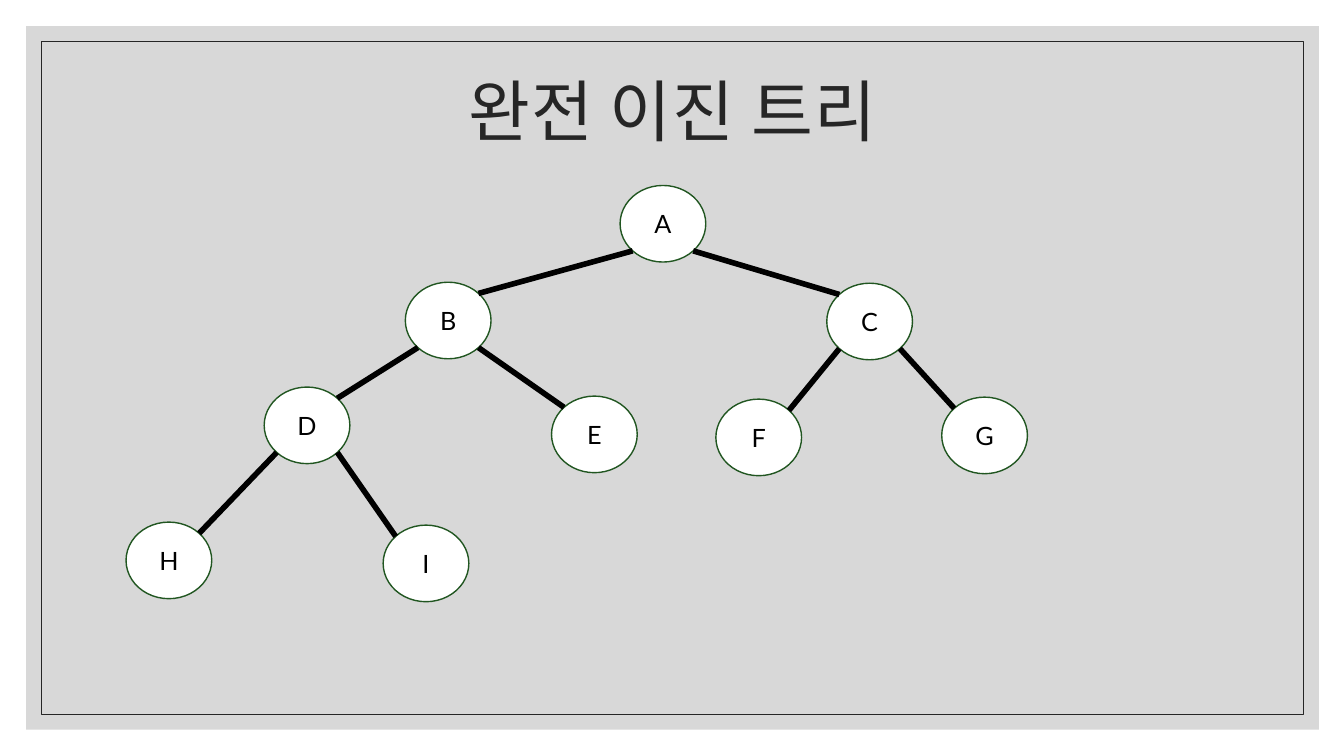
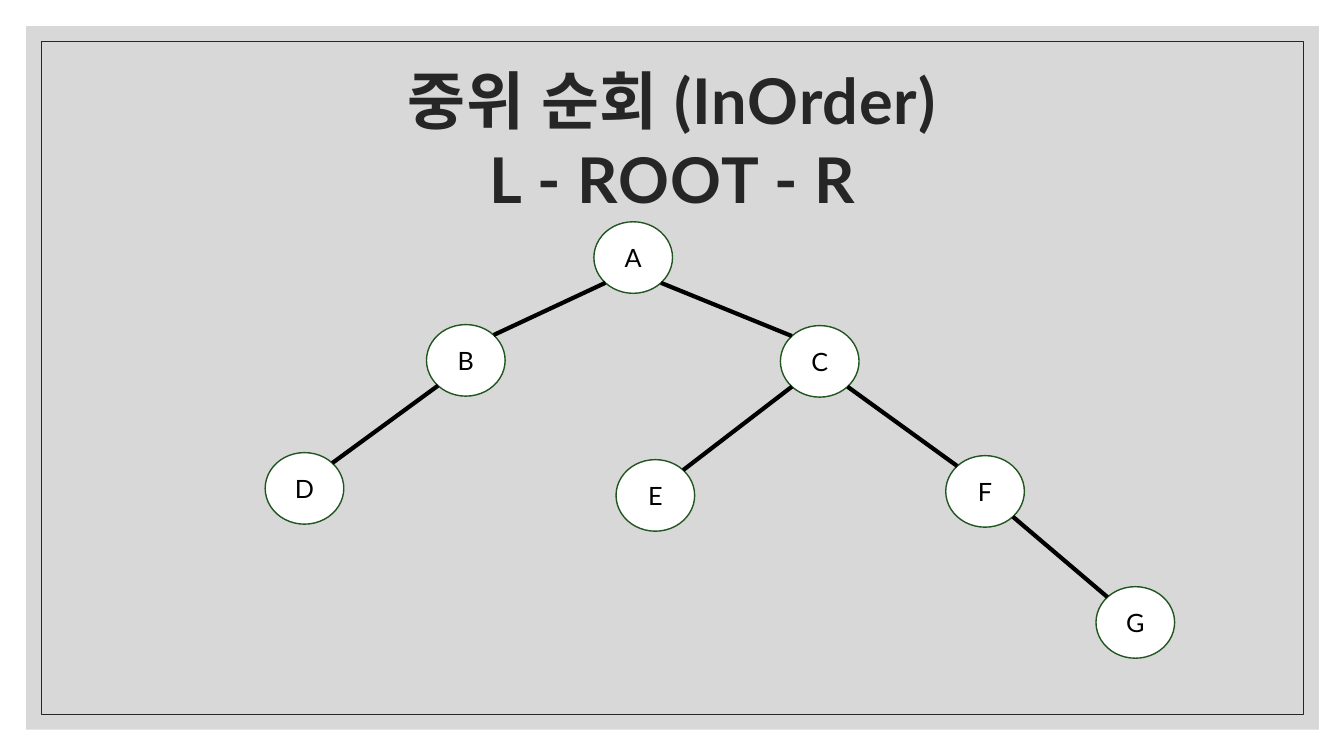
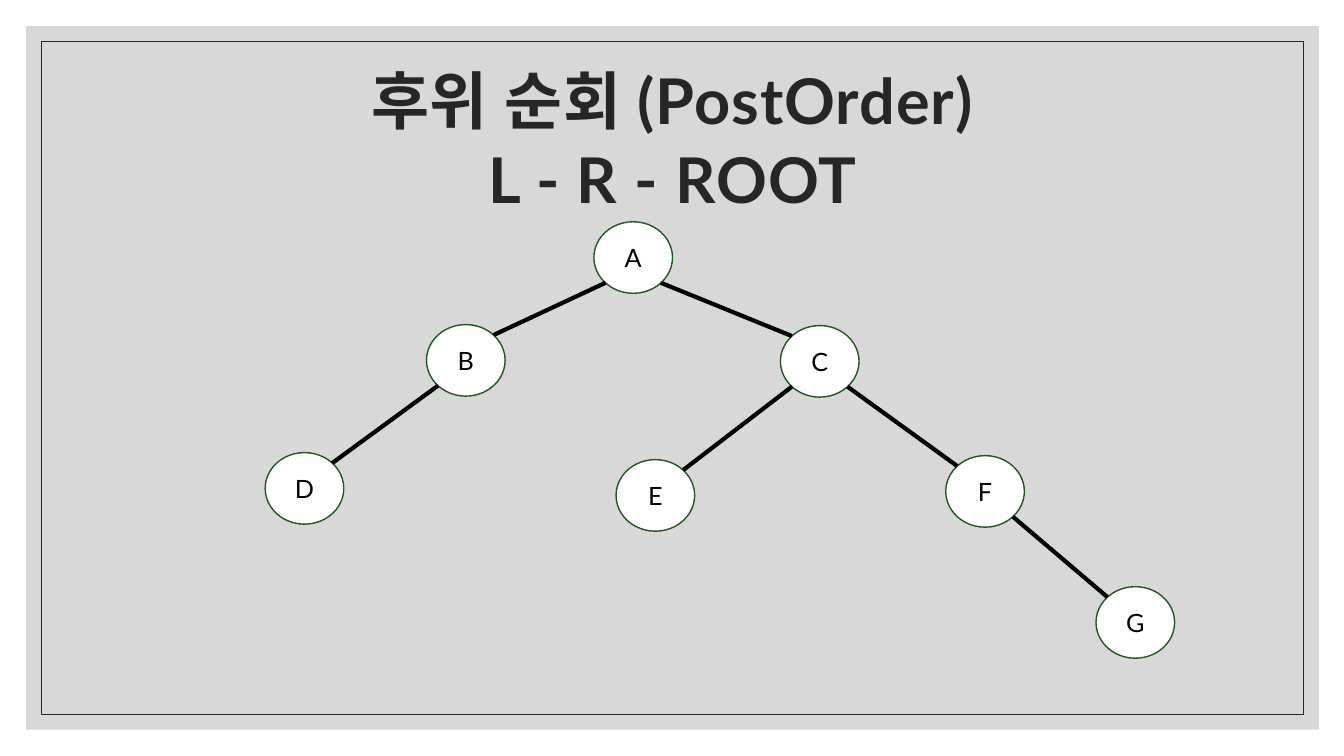
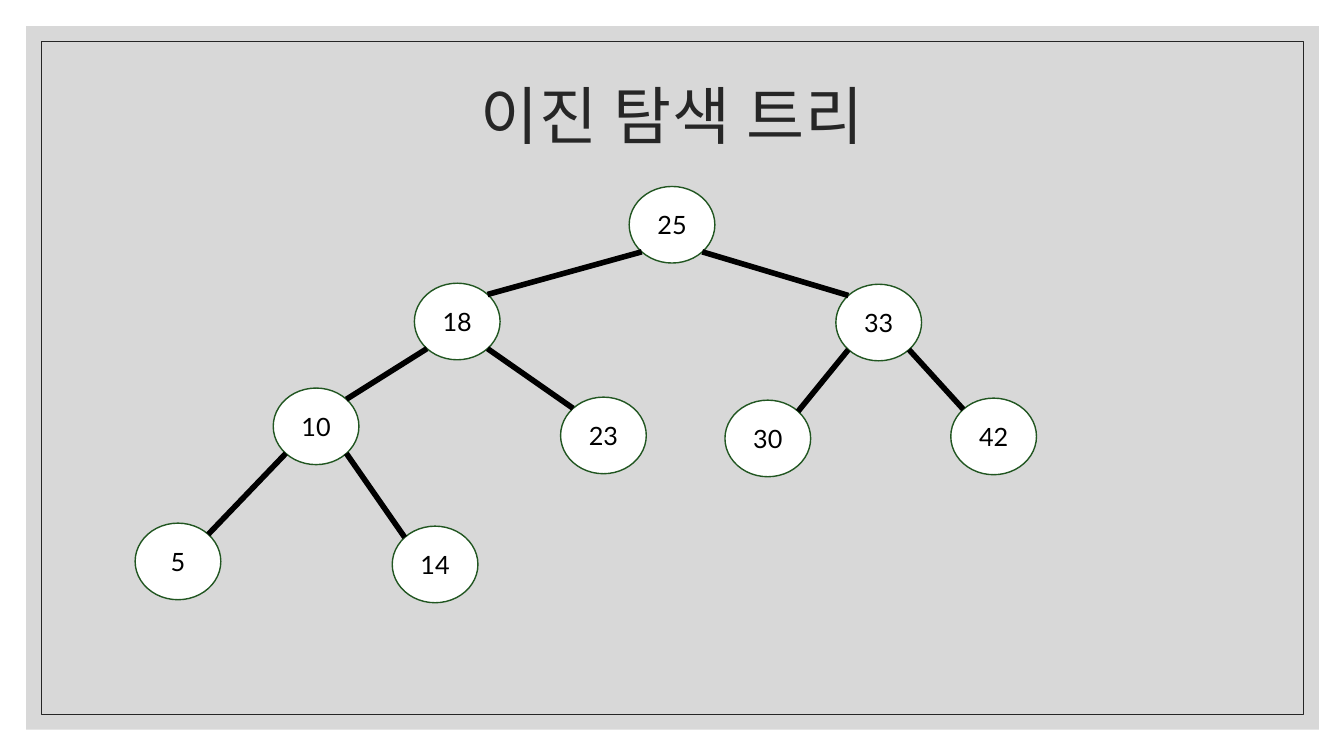
"""Builds four slides on binary trees and their traversals."""
import math

from lxml import etree
from pptx import Presentation
from pptx.dml.color import RGBColor
from pptx.enum import shapes, text
from pptx.oxml.ns import qn
from pptx.util import Inches, Pt

BLACK = RGBColor(0x00, 0x00, 0x00)
WHITE = RGBColor(0xFF, 0xFF, 0xFF)
GREEN = RGBColor(0x21, 0x56, 0x21)
INK = RGBColor(0x26, 0x26, 0x26)
GRAY = RGBColor(0xBF, 0xBF, 0xBF)
FONT = "Lato"

COMPLETE = {
    "size": (0.85, 0.76),
    "edge": 4,
    "nodes": [(6.15, 1.84), (4.02, 2.8), (8.2, 2.81), (2.62, 3.84), (5.47, 3.93),
              (7.1, 3.96), (9.34, 3.94), (1.25, 5.18), (3.8, 5.21)],
    "edges": [(0, 1), (0, 2), (1, 3), (1, 4), (2, 5), (2, 6), (3, 7), (3, 8)],
}
TRAVERSAL = {
    "size": (0.78, 0.71),
    "edge": 3,
    "nodes": [(5.89, 2.2), (4.23, 3.22), (7.74, 3.23), (2.63, 4.49), (6.11, 4.56),
              (9.38, 4.52), (10.87, 5.82)],
    "edges": [(0, 1), (1, 3), (0, 2), (2, 4), (2, 5), (5, 6)],
}
SLIDES = [
    {"title": "완전 이진 트리", "top": 0.31, "font": {"size": Pt(48)},
     "tree": COMPLETE, "labels": "A B C D E F G H I", "shift": (0, 0)},
    {"title": "중위 순회 (InOrder)\nL - ROOT - R", "top": 0.6,
     "font": {"size": Pt(45), "bold": True},
     "tree": TRAVERSAL, "labels": "A B C D E F G", "shift": (0, 0)},
    {"title": "후위 순회 (PostOrder)\nL - R - ROOT", "top": 0.6,
     "font": {"size": Pt(45), "bold": True},
     "tree": TRAVERSAL, "labels": "A B C D E F G", "shift": (0, 0)},
    {"title": "이진 탐색 트리", "top": 0.36, "font": {"size": Pt(45)},
     "tree": COMPLETE, "labels": "25 18 33 10 23 30 42 5 14", "shift": (0.09, 0.01)},
]


def set_font(r, color, **values):
    for name, value in {"name": FONT, **values}.items():
        setattr(r.font, name, value)
    r.font.color.rgb = color


def add_box(s, kind, box, fill=None, line=None, width=1):
    sp = s.shapes.add_shape(kind, *map(Inches, box))
    sp.shadow.inherit = False
    if fill is None:
        sp.fill.background()
    else:
        sp.fill.solid()
        sp.fill.fore_color.rgb = fill
    if line is None:
        sp.line.fill.background()
    else:
        sp.line.color.rgb = line
        sp.line.width = Pt(width)
    return sp


def add_frame(s, layout):
    """Draw the panel and its border, then hand them to the shared layout."""
    rect = shapes.MSO_SHAPE.RECTANGLE
    panel = add_box(s, rect, (0.26, 0.26, 12.82, 6.98), GRAY)
    color = panel._element.spPr.find(qn("a:solidFill"))[0]
    etree.SubElement(color, qn("a:alpha")).set("val", "60000")
    border = add_box(s, rect, (0.41, 0.41, 12.52, 6.68), line=INK, width=0.5)
    for sp in (panel, border):
        layout.shapes._spTree.append(sp._element)


def add_title(s, title, top, font):
    tf = s.shapes.add_textbox(*map(Inches, (1.17, top, 11, 1.5))).text_frame
    margins = {"margin_left": 0.12, "margin_top": 0.12, "margin_right": 0.12, "margin_bottom": 0.1}
    for name, value in margins.items():
        setattr(tf, name, Inches(value))
    tf.word_wrap = True
    tf.vertical_anchor = text.MSO_ANCHOR.MIDDLE
    p = tf.paragraphs[0]
    p.text = title
    p.alignment = text.PP_ALIGN.CENTER
    p.line_spacing = 1.05
    for r in p.runs:
        set_font(r, INK, **font)
        r._r.get_or_add_rPr().set("spc", "70")


def add_node(s, box, label):
    sp = add_box(s, shapes.MSO_SHAPE.OVAL, box, WHITE, GREEN)
    tf = sp.text_frame
    tf.vertical_anchor = text.MSO_ANCHOR.MIDDLE
    p = tf.paragraphs[0]
    p.alignment = text.PP_ALIGN.CENTER
    r = p.add_run()
    r.text = label
    set_font(r, BLACK, size=Pt(18))


def rim(box, dx, dy):
    """Return the diagonal point on an ellipse's rim, dx and dy being signs."""
    x, y, w, h = box
    k = math.sqrt(0.5)
    return x + w / 2 * (1 + dx * k), y + h / 2 * (1 + dy * k)


def add_edge(s, parent, child, width):
    side = 1 if child[0] > parent[0] else -1
    ends = rim(parent, side, 1) + rim(child, -side, -1)
    line = s.shapes.add_connector(shapes.MSO_CONNECTOR.STRAIGHT, *map(Inches, ends))
    line.line.color.rgb = BLACK
    line.line.width = Pt(width)
    etree.SubElement(line._element.spPr, qn("a:effectLst"))


def add_tree(s, tree, labels, shift):
    dx, dy = shift
    boxes = [(x + dx, y + dy, *tree["size"]) for x, y in tree["nodes"]]
    for box, label in zip(boxes, labels.split()):
        add_node(s, box, label)
    for parent, child in tree["edges"]:
        add_edge(s, boxes[parent], boxes[child], tree["edge"])


def main():
    prs = Presentation()
    prs.slide_width, prs.slide_height = Inches(13.33), Inches(7.5)
    layout = prs.slide_layouts[6]
    for i, data in enumerate(SLIDES):
        s = prs.slides.add_slide(layout)
        if i == 0:
            add_frame(s, layout)
        add_title(s, data["title"], data["top"], data["font"])
        add_tree(s, data["tree"], data["labels"], data["shift"])
    prs.save("out.pptx")


if __name__ == "__main__":
    main()
